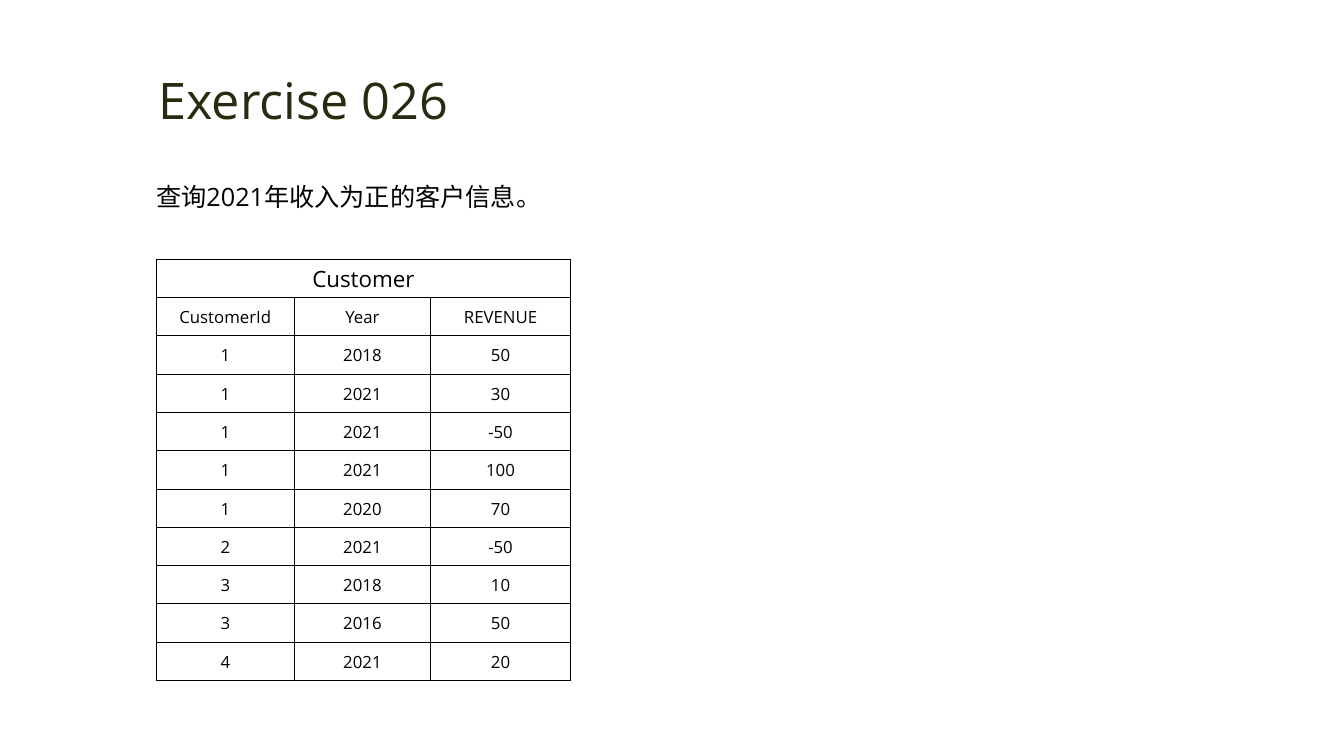
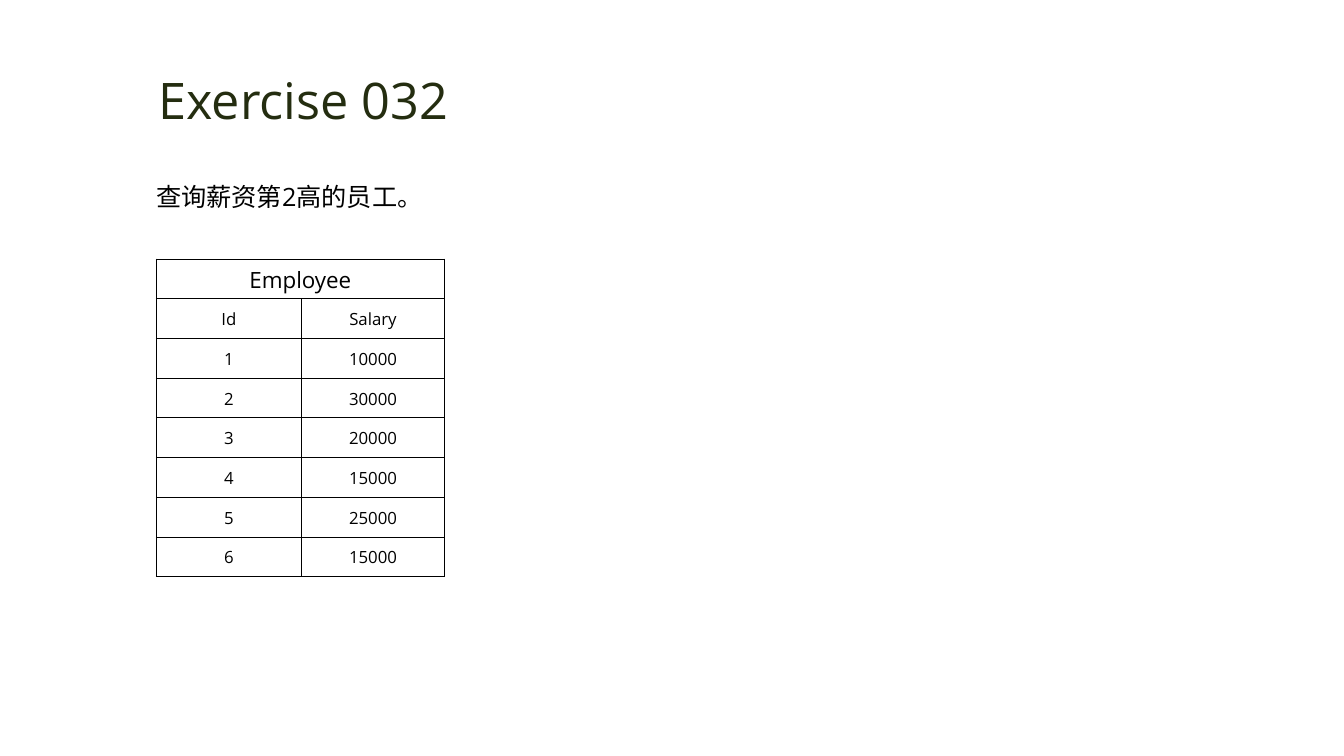
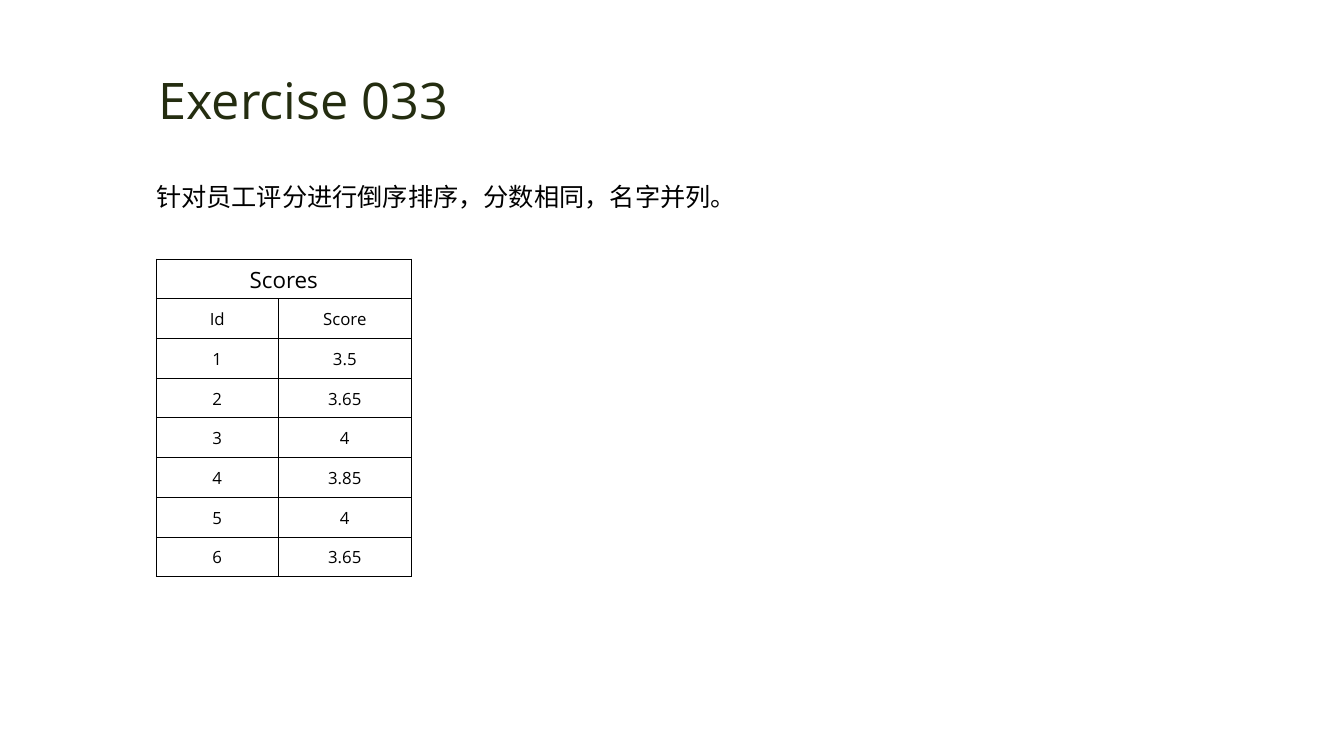
from lxml.etree import SubElement
from pptx import Presentation
from pptx.dml.color import RGBColor
from pptx.enum.text import MSO_ANCHOR as ANCHOR, MSO_AUTO_SIZE as AUTO, PP_ALIGN as ALIGN
from pptx.oxml.ns import qn
from pptx.util import Inches, Pt


def rgb(value):
    return RGBColor.from_string(value)


class Deck:
    """Exercise slides sharing one style for title, question and table."""

    FONT = "Open Sans"
    TITLE = "242D10"
    INK = "000000"

    def __init__(self):
        self.prs = Presentation()
        self.prs.slide_width = Inches(13.33)
        self.prs.slide_height = Inches(7.5)
        self.s = None

    def add_slide(self):
        self.s = self.prs.slides.add_slide(self.prs.slide_layouts[6])

    def run(self, p, text, size, color):
        r = p.add_run()
        r.text = text
        r.font.size = Pt(size)
        r.font.name = self.FONT
        r.font.color.rgb = rgb(color)
        SubElement(r.font._element, qn("a:ea"), typeface=self.FONT)

    def text_box(self, left, top, width, height, wrap):
        sp = self.s.shapes.add_textbox(Inches(left), Inches(top), Inches(width), Inches(height))
        tf = sp.text_frame
        tf.word_wrap = wrap
        tf.auto_size = AUTO.SHAPE_TO_FIT_TEXT
        return tf.paragraphs[0]

    def title(self, text):
        p = self.text_box(1.39, 0.64, 3.24, 0.71, False)
        p.alignment = ALIGN.CENTER
        self.run(p, text, 36, self.TITLE)

    def question(self, text, width):
        p = self.text_box(1.45, 1.6, width, 0.51, True)
        p.line_spacing = 1.5
        self.run(p, text, 18, self.INK)

    def border(self, cell):
        tc_pr = cell._tc.get_or_add_tcPr()
        for side in ("lnL", "lnR", "lnT", "lnB"):
            ln = SubElement(tc_pr, qn(f"a:{side}"), w=str(Pt(0.5)))
            fill = SubElement(ln, qn("a:solidFill"))
            SubElement(fill, qn("a:srgbClr"), val=self.INK)

    def cell(self, cell, text, size):
        cell.margin_left = cell.margin_right = cell.margin_top = Inches(0.01)
        cell.margin_bottom = 0
        cell.vertical_anchor = ANCHOR.MIDDLE
        self.border(cell)
        cell.fill.background()
        p = cell.text_frame.paragraphs[0]
        p.alignment = ALIGN.CENTER
        if text:
            self.run(p, text, size, self.INK)
        else:
            p.font.size = Pt(size)

    def table(self, name, rows, widths, height):
        grid = [[name] + [""] * (len(widths) - 1)] + rows
        frame = self.s.shapes.add_table(len(grid), len(widths), Inches(1.55), Inches(2.57),
                                        Inches(sum(widths)), Inches(height))
        table = frame.table
        table.first_row = table.horz_banding = False
        for column, width in zip(table.columns, widths):
            column.width = Inches(width)
        for i, values in enumerate(grid):
            table.rows[i].height = Inches(height / len(grid))
            for j, text in enumerate(values):
                self.cell(table.cell(i, j), text, 12 if i else 16)
        table.cell(0, 0).merge(table.cell(0, len(widths) - 1))


EXERCISES = [
    ("Exercise 026", "查询2021年收入为正的客户信息。", 5.23, "Customer", [1.37, 1.35, 1.39], 4.18, [
        ["CustomerId", "Year", "REVENUE"],
        ["1", "2018", "50"],
        ["1", "2021", "30"],
        ["1", "2021", "-50"],
        ["1", "2021", "100"],
        ["1", "2020", "70"],
        ["2", "2021", "-50"],
        ["3", "2018", "10"],
        ["3", "2016", "50"],
        ["4", "2021", "20"],
    ]),
    ("Exercise 032", "查询薪资第2高的员工。", 5.23, "Employee", [1.44, 1.42], 3.15, [
        ["Id", "Salary"],
        ["1", "10000"],
        ["2", "30000"],
        ["3", "20000"],
        ["4", "15000"],
        ["5", "25000"],
        ["6", "15000"],
    ]),
    ("Exercise 033", "针对员工评分进行倒序排序，分数相同，名字并列。", 5.96, "Scores", [1.21, 1.32], 3.15, [
        ["Id", "Score"],
        ["1", "3.5"],
        ["2", "3.65"],
        ["3", "4"],
        ["4", "3.85"],
        ["5", "4"],
        ["6", "3.65"],
    ]),
]


def main():
    deck = Deck()
    for title, question, question_width, name, widths, height, rows in EXERCISES:
        deck.add_slide()
        deck.title(title)
        deck.question(question, question_width)
        deck.table(name, rows, widths, height)
    deck.prs.save("out.pptx")


if __name__ == "__main__":
    main()
